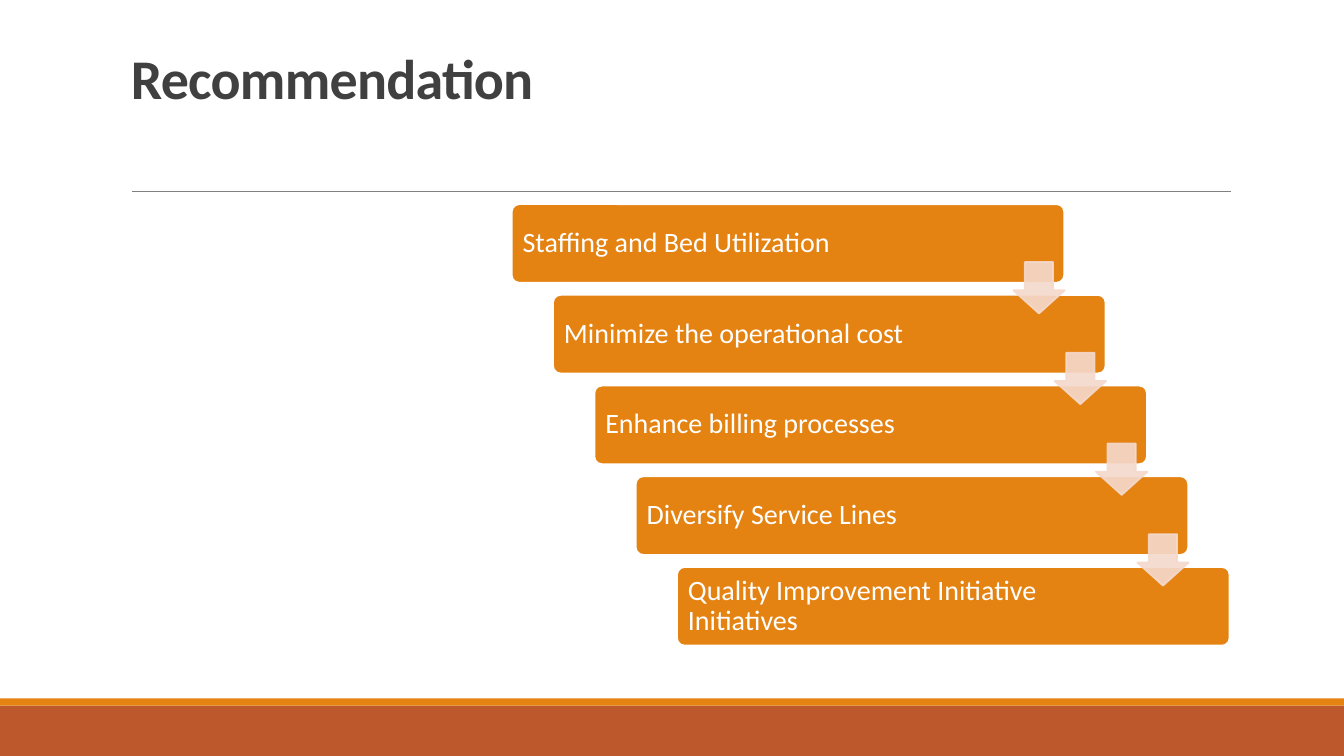
"""Build the Recommendation slide with five stepped bars joined by arrows."""
from lxml import etree
from pptx import Presentation
from pptx.dml.color import RGBColor
from pptx.enum import shapes, text
from pptx.oxml import ns
from pptx.util import Inches, Pt


def rgb(value):
    return RGBColor.from_string(value)


def add_box(kind, left, top, width, height, fill, line=None, weight=0):
    sp = s.shapes.add_shape(kind, Inches(left), Inches(top), Inches(width), Inches(height))
    sp.shadow.inherit = False
    sp.fill.solid()
    sp.fill.fore_color.rgb = rgb(fill)
    if line:
        sp.line.color.rgb = rgb(line)
        sp.line.width = Pt(weight)
    else:
        sp.line.fill.background()
    return sp


prs = Presentation()
prs.slide_width, prs.slide_height = Inches(13.33), Inches(7.5)
s = prs.slides.add_slide(prs.slide_layouts[6])

add_box(shapes.MSO_SHAPE.RECTANGLE, 0, 7, 13.33, 0.5, "BD582C")
add_box(shapes.MSO_SHAPE.RECTANGLE, 0, 6.93, 13.33, 0.07, "E48312")

rule = s.shapes.add_connector(shapes.MSO_CONNECTOR.STRAIGHT,
                              Inches(1.31), Inches(1.9), Inches(12.21), Inches(1.9))
rule.line.color.rgb = rgb("808080")
rule.line.width = Pt(0.5)
etree.SubElement(rule._element.spPr, ns.qn("a:effectLst"))

title = s.shapes.add_textbox(Inches(1.2), Inches(0.31), Inches(11), Inches(1.59))
tf = title.text_frame
tf.word_wrap = True
tf.vertical_anchor = text.MSO_ANCHOR.BOTTOM
tf.margin_bottom = Inches(0.8)
tf.text = "Recommendation"
p = tf.paragraphs[0]
p.line_spacing = 0.85
r = p.runs[0]
r.font.name, r.font.size, r.font.bold = "Calibri", Pt(40), True
r.font.color.rgb = rgb("404040")
r.font._element.set("spc", "-50")

steps = ["Staffing and Bed Utilization", "Minimize the operational cost",
         "Enhance billing processes", "Diversify Service Lines",
         "Quality Improvement Initiative Initiatives"]
step_x, step_y = 0.41, 0.9

for i, label in enumerate(steps):
    bar = add_box(shapes.MSO_SHAPE.ROUNDED_RECTANGLE, 5.07 + i * step_x, 2.02 + i * step_y,
                  5.49, 0.79, "E48312", "FFFFFF", 2)
    bar.adjustments[0] = 0.1
    tf = bar.text_frame
    tf.word_wrap = True
    tf.vertical_anchor = text.MSO_ANCHOR.MIDDLE
    tf.margin_left, tf.margin_right = Inches(0.09), Inches(1)
    tf.text = label
    p = tf.paragraphs[0]
    p.alignment = text.PP_ALIGN.LEFT
    p.line_spacing = 0.9
    r = p.runs[0]
    r.font.name, r.font.size = "Calibri", Pt(20)
    r.font.color.rgb = rgb("FFFFFF")

for i in range(len(steps) - 1):
    arrow = add_box(shapes.MSO_SHAPE.DOWN_ARROW, 10.05 + i * step_x, 2.6 + i * step_y,
                    0.51, 0.51, "F5D9CC", "F5D9CC", 1.25)
    arrow.adjustments[0] = 0.55
    arrow.adjustments[1] = 0.45
    for color in arrow._element.spPr.iter(ns.qn("a:srgbClr")):
        etree.SubElement(color, ns.qn("a:alpha"), val="90000")

prs.save("out.pptx")
